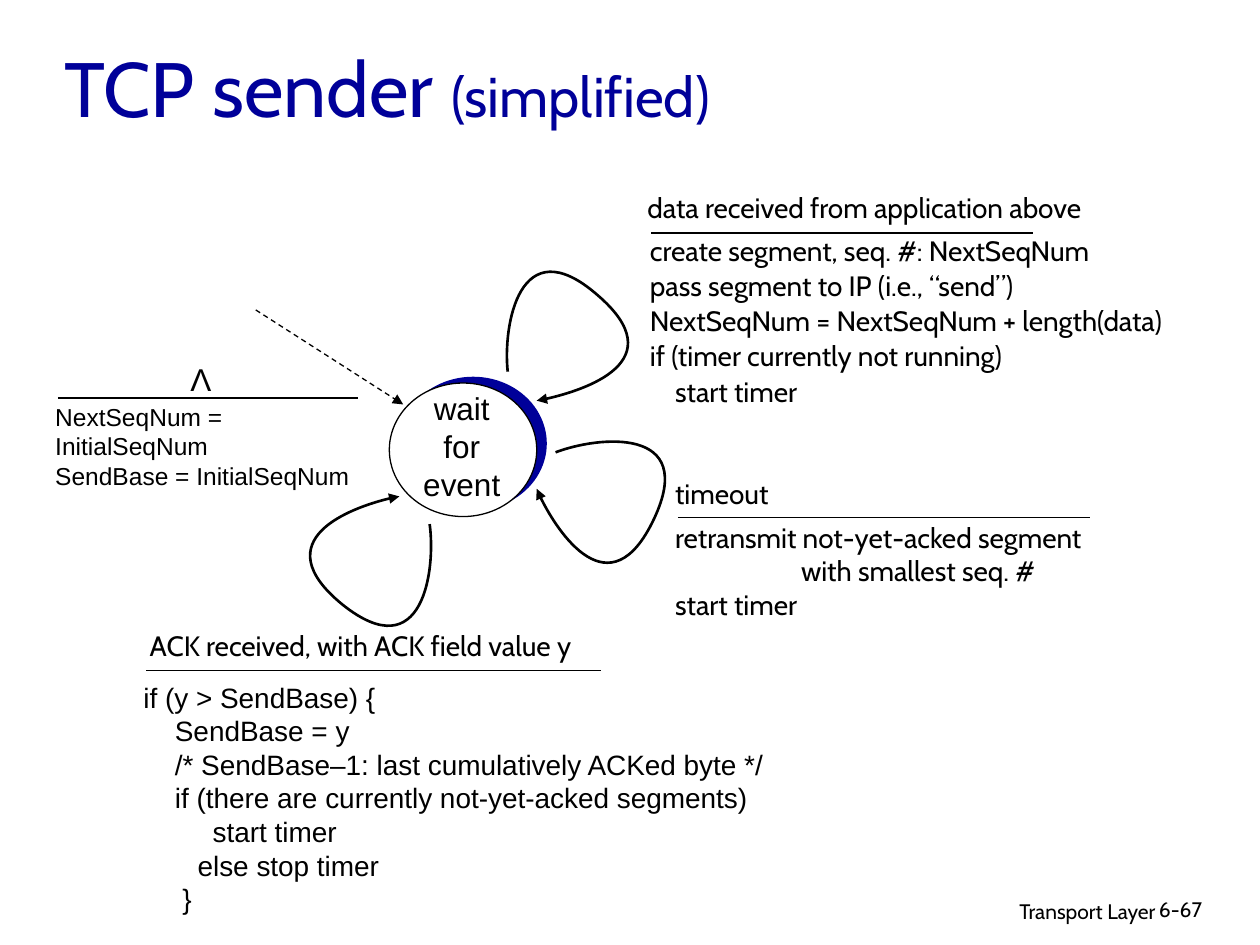
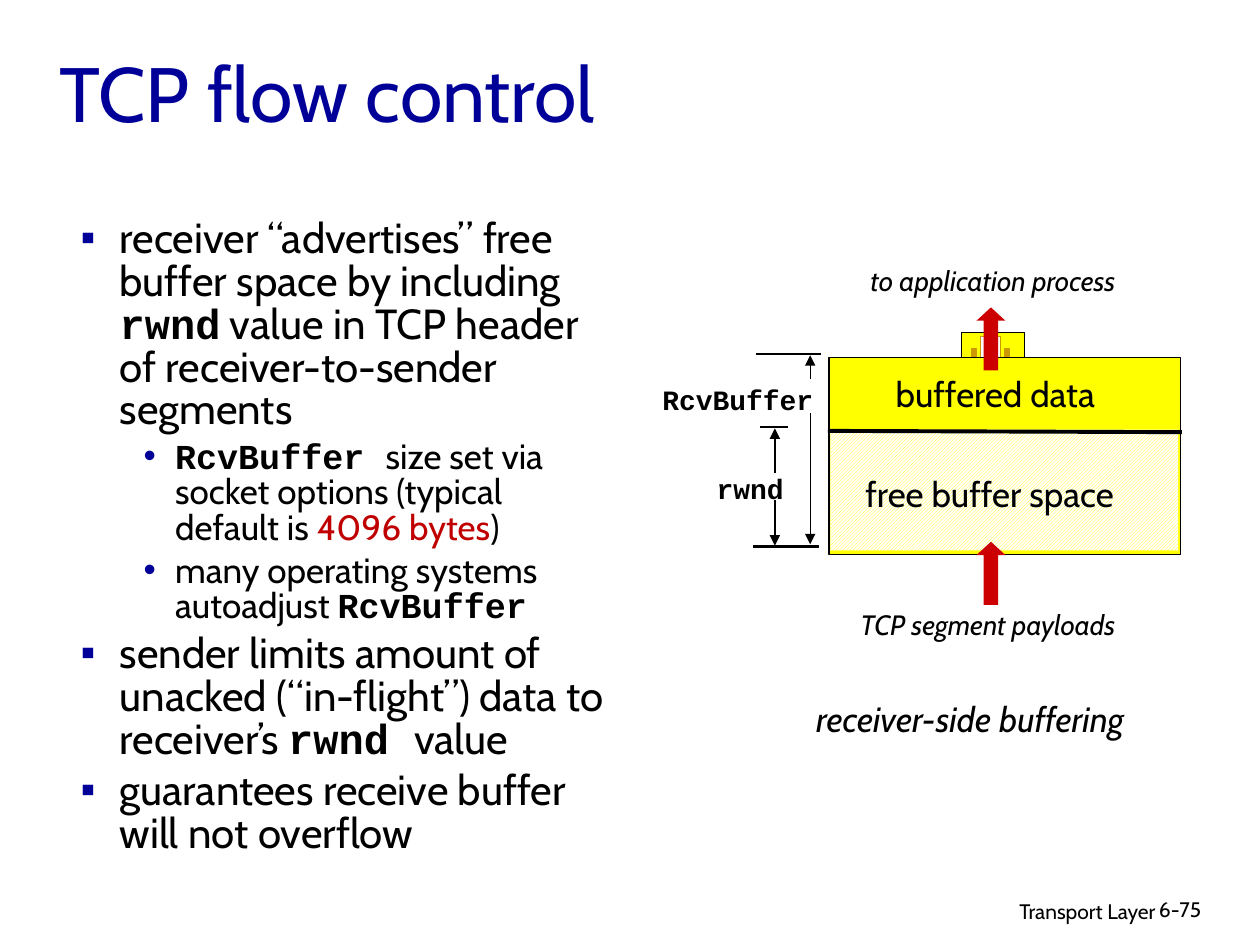
from lxml.etree import SubElement
from pptx import Presentation
from pptx.dml.color import RGBColor
from pptx.enum.dml import MSO_LINE, MSO_PATTERN
from pptx.enum.shapes import MSO_CONNECTOR, MSO_SHAPE
from pptx.enum.text import MSO_ANCHOR, MSO_AUTO_SIZE, PP_ALIGN
from pptx.oxml.ns import qn
from pptx.util import Inches, Pt

NAVY = RGBColor(0, 0, 0x99)
BLACK = RGBColor(0, 0, 0)
WHITE = RGBColor(0xFF, 0xFF, 0xFF)
YELLOW = RGBColor(0xFF, 0xFF, 0)
OCHRE = RGBColor(0xCC, 0x99, 0)
RED = RGBColor(0xCC, 0, 0)
DARK_RED = RGBColor(0xC0, 0, 0)
SANS, ARIAL, MONO = "Cabin", "Arial", "Courier New"

SENDER_TITLE = [("TCP sender ", 44), ("(simplified)", 32)]
FLOW_TITLE = [("TCP flow control", 44)]

INITIAL = ["NextSeqNum = InitialSeqNum", "SendBase = InitialSeqNum"]
STATE = ["wait", "for", "event"]
EVENTS = [
    (5.04, 1.46, "data received from application above"),
    (5.26, 3.73, "timeout"),
    (1.09, 4.94, "ACK received, with ACK field value y"),
]
ACTIONS = [
    (5.06, 1.79, 4.8, SANS, 1.05, [
        (0, "create segment, seq. #: NextSeqNum"),
        (0, "pass segment to IP (i.e., “send”)"),
        (0, "NextSeqNum = NextSeqNum + length(data)"),
        (0, "if (timer currently not running)"),
        (0.2, "start timer"),
    ]),
    (5.26, 4.08, 3.8, SANS, 1, [
        (0, "retransmit not-yet-acked segment"),
        (1, "with smallest seq. #"),
        (0, "start timer"),
    ]),
    (1.04, 5.35, 5.4, ARIAL, 1, [
        (0, "if (y > SendBase) {"),
        (0.25, "SendBase = y"),
        (0.25, "/* SendBase–1: last cumulatively ACKed byte */"),
        (0.25, "if (there are currently not-yet-acked segments)"),
        (0.55, "start timer"),
        (0.43, "else stop timer"),
        (0.31, "}"),
    ]),
]
RULES = [(0.46, 2.84, 3.16), (5.17, 8.2, 1.85), (5.38, 8.65, 4.11), (1.16, 4.77, 5.32)]
LOOPS = [
    [(4.03, 2.95), (3.99, 2.59), (4.12, 1.8), (4.74, 2.34),
     (5.36, 2.87), (4.52, 3.14), (4.26, 3.18)],
    [(4.41, 3.59), (4.75, 3.46), (5.54, 3.38), (5.19, 4.12),
     (4.84, 4.86), (4.35, 4.12), (4.26, 3.88)],
    [(3.41, 4.16), (3.46, 4.52), (3.36, 5.31), (2.72, 4.8),
     (2.08, 4.28), (2.91, 3.98), (3.17, 3.94)],
]

PLAIN, CODE, ALERT = (SANS, False, BLACK), (MONO, True, BLACK), (SANS, False, DARK_RED)
LEVELS = [("▪", 24, 0.31, 0.31), ("•", 20, 0.75, 0.25)]
BULLETS = [
    (0, [("receiver “advertises” free buffer space by including ", PLAIN), ("rwnd", CODE),
         (" value in TCP header of receiver-to-sender segments", PLAIN)]),
    (1, [("RcvBuffer ", CODE), ("size set via socket options (typical default is ", PLAIN),
         ("4096 bytes", ALERT), (")", PLAIN)]),
    (1, [("many operating systems autoadjust ", PLAIN), ("RcvBuffer", CODE)]),
    (0, [("sender limits amount of unacked (“in-flight”) data to receiver’s ", PLAIN),
         ("rwnd ", CODE), ("value", PLAIN)]),
    (0, [("guarantees receive buffer will not overflow", PLAIN)]),
]
SOCKET = [
    (7.63, 2.64, 0.5, 0.23, YELLOW, BLACK),
    (7.78, 2.67, 0.16, 0.17, WHITE, OCHRE),
    (7.97, 2.77, 0.04, 0.06, OCHRE, OCHRE),
    (7.71, 2.77, 0.04, 0.06, OCHRE, OCHRE),
    (6.58, 2.84, 2.79, 1.56, YELLOW, BLACK),
]
FLOW_ARROW_TOPS = (2.44, 4.3)
BUFFER_LABELS = [
    (7.01, 2.91, "buffered data", 20, SANS, False, False),
    (6.77, 3.7, "free buffer space", 20, SANS, False, False),
    (5.59, 3.69, "rwnd", 16, MONO, True, False),
    (5.16, 2.99, "RcvBuffer", 16, MONO, True, False),
    (6.73, 4.77, "TCP segment payloads", 16, SANS, False, True),
    (6.81, 2.04, "to application process", 16, SANS, False, True),
    (6.38, 5.49, "receiver-side buffering", 20, SANS, False, True),
]
DIMENSION_ARROWS = [(6.15, 3.75, 3.4), (6.15, 3.97, 4.33), (6.43, 3.01, 2.82), (6.43, 3.28, 4.32)]
DIMENSION_ENDS = [(5.98, 6.5, 4.34), (6.03, 6.25, 3.39), (6, 6.52, 2.81)]


def style(r, size, font=SANS, color=BLACK, bold=False, italic=False):
    r.font.size, r.font.name = Pt(size), font
    r.font.bold, r.font.italic = bold, italic
    r.font.color.rgb = color


def add_text(s, x, y, w, h, lines, size, font=SANS, align=PP_ALIGN.LEFT,
             bold=False, italic=False, spacing=1.0):
    tf = s.shapes.add_textbox(Inches(x), Inches(y), Inches(w), Inches(h)).text_frame
    tf.word_wrap = True
    tf.text = "\n".join(lines)
    for p in tf.paragraphs:
        p.alignment, p.line_spacing = align, float(spacing)
        style(p.runs[0], size, font, BLACK, bold, italic)
    return tf


def add_figure(s, kind, x, y, w, h, fill=None, line=None):
    sp = s.shapes.add_shape(kind, Inches(x), Inches(y), Inches(w), Inches(h))
    sp.shadow.inherit = False
    if fill is not None:
        sp.fill.solid()
        sp.fill.fore_color.rgb = fill
    if line is None:
        sp.line.fill.background()
    else:
        sp.line.color.rgb = line
        sp.line.width = Pt(0.75)
    return sp


def draw_stroke(sp, width, arrow=False, dashed=False):
    sp.line.color.rgb = BLACK
    sp.line.width = Pt(width)
    if dashed:
        sp.line.dash_style = MSO_LINE.DASH
    if arrow:
        ln = sp.element.spPr.find(qn("a:ln"))
        SubElement(ln, qn("a:tailEnd"), type="triangle")


def add_line(s, x1, y1, x2, y2, width=0.75, arrow=False, dashed=False):
    c = s.shapes.add_connector(MSO_CONNECTOR.STRAIGHT, *map(Inches, (x1, y1, x2, y2)))
    draw_stroke(c, width, arrow, dashed)
    SubElement(c.element.spPr, qn("a:effectLst"))


def add_loop(s, points):
    start, *rest = [(Inches(x), Inches(y)) for x, y in points]
    builder = s.shapes.build_freeform(*start)
    builder.add_line_segments(rest, close=False)
    sp = builder.convert_to_shape()
    sp.shadow.inherit = False
    sp.fill.background()
    draw_stroke(sp, 1.5, arrow=True)
    outline = sp.element.find(".//" + qn("a:path"))
    for i, step in enumerate(outline.findall(qn("a:lnTo"))):
        if i % 3 == 0:
            curve = SubElement(outline, qn("a:cubicBezTo"))
        curve.append(step[0])
        outline.remove(step)


def move(sp, x, y, w, h):
    sp.left, sp.top, sp.width, sp.height = map(Inches, (x, y, w, h))
    sp.text_frame.auto_size = MSO_AUTO_SIZE.NONE
    return sp.text_frame


def new_slide(prs, layout, title, title_box, number):
    s = prs.slides.add_slide(prs.slide_layouts[layout])
    tf = move(s.shapes.title, *title_box)
    tf.vertical_anchor = MSO_ANCHOR.MIDDLE
    p = tf.paragraphs[0]
    p.alignment = PP_ALIGN.LEFT
    for text, size in title:
        r = p.add_run()
        r.text = text
        style(r, size, color=NAVY)
    add_text(s, 6.1, 7.08, 3.17, 0.31, ["Transport Layer"], 12, align=PP_ALIGN.RIGHT)
    add_text(s, 9.1, 7.07, 0.74, 0.3, [number], 12)
    return s


def build_sender(prs):
    s = new_slide(prs, 5, SENDER_TITLE, (0.41, 0.2, 8.46, 0.98), "6-67")
    add_figure(s, MSO_SHAPE.OVAL, 3.17, 2.99, 1.17, 1.06, NAVY)
    add_figure(s, MSO_SHAPE.OVAL, 3.09, 3.04, 1.17, 1.06, WHITE, BLACK)
    add_text(s, 3.16, 3.04, 1.01, 1, STATE, 18, ARIAL, PP_ALIGN.CENTER)
    add_line(s, 2.03, 2.46, 3.2, 3.21, arrow=True, dashed=True)
    add_text(s, 0.34, 3.14, 2.7, 0.8, INITIAL, 14, ARIAL)
    add_text(s, 1.41, 2.81, 0.37, 0.4, ["Λ"], 18, ARIAL, PP_ALIGN.CENTER)
    for x, y, event in EVENTS:
        add_text(s, x, y, 4.1, 0.37, [event], 16)
    for x, y, w, font, spacing, rows in ACTIONS:
        tf = add_text(s, x, y, w, 0.28 * len(rows), [text for _, text in rows],
                      16, font, spacing=spacing)
        for p, (indent, _) in zip(tf.paragraphs, rows):
            p._p.get_or_add_pPr().set("marL", str(Inches(indent)))
    for x1, x2, y in RULES:
        add_line(s, x1, y, x2, y)
    for points in LOOPS:
        add_loop(s, points)


def fill_bullets(tf):
    for i, (level, runs) in enumerate(BULLETS):
        p = tf.paragraphs[0] if i == 0 else tf.add_paragraph()
        mark, size, margin, hang = LEVELS[level]
        p.level, p.line_spacing, p.space_before = level, 0.85, Pt(size * 0.2)
        pPr = p._p.get_or_add_pPr()
        pPr.set("marL", str(Inches(margin)))
        pPr.set("indent", str(-Inches(hang)))
        SubElement(SubElement(pPr, qn("a:buClr")), qn("a:srgbClr"), val=str(NAVY))
        SubElement(pPr, qn("a:buFont"), typeface=ARIAL)
        SubElement(pPr, qn("a:buChar"), char=mark)
        for text, (font, bold, color) in runs:
            r = p.add_run()
            r.text = text
            style(r, size, font, color, bold)


def build_flow_control(prs):
    s = new_slide(prs, 1, FLOW_TITLE, (0.37, 0.19, 8.5, 1.07), "6-75")
    fill_bullets(move(s.placeholders[1], 0.54, 1.69, 4.43, 5.37))
    for box in SOCKET:
        add_figure(s, MSO_SHAPE.RECTANGLE, *box)
    free = add_figure(s, MSO_SHAPE.RECTANGLE, 6.59, 3.41, 2.76, 0.96)
    free.fill.patterned()
    free.fill.pattern = MSO_PATTERN.DARK_UPWARD_DIAGONAL
    free.fill.fore_color.rgb = YELLOW
    free.fill.back_color.rgb = WHITE
    for top in FLOW_ARROW_TOPS:
        arrow = add_figure(s, MSO_SHAPE.UP_ARROW, 7.75, top, 0.23, 0.5, RED)
        arrow.adjustments[1] = 0.46
    add_line(s, 6.57, 3.42, 9.38, 3.43, 2.25)
    for x, y, text, size, font, bold, italic in BUFFER_LABELS:
        add_text(s, x, y, 3, 0.4, [text], size, font, bold=bold, italic=italic)
    for x, y1, y2 in DIMENSION_ARROWS:
        add_line(s, x, y1, x, y2, arrow=True)
    for x1, x2, y in DIMENSION_ENDS:
        add_line(s, x1, y, x2, y, 1.5)


def main():
    prs = Presentation()
    prs.slide_width, prs.slide_height = Inches(10), Inches(7.5)
    build_sender(prs)
    build_flow_control(prs)
    prs.save("out.pptx")


if __name__ == "__main__":
    main()
